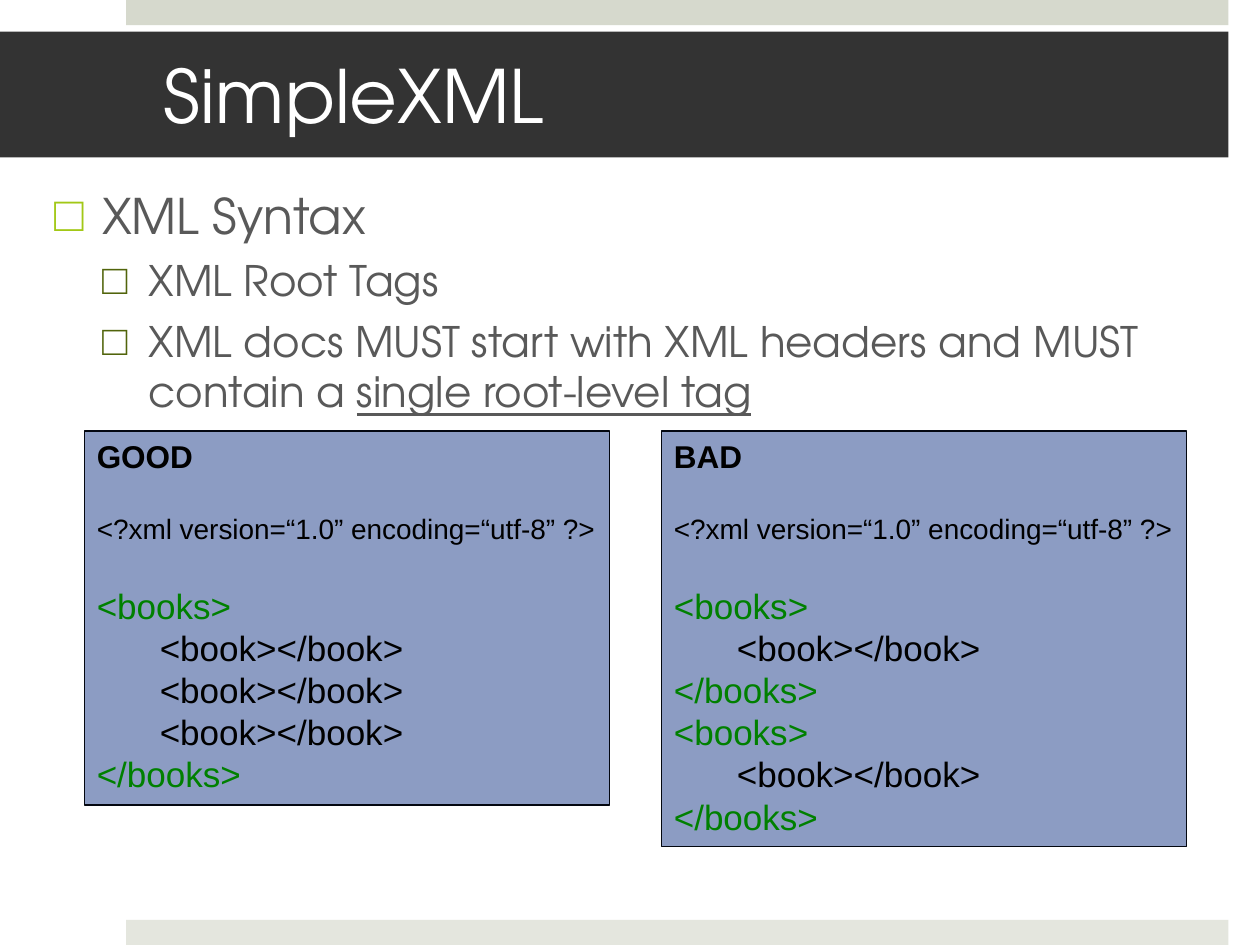
from lxml import etree
from pptx import Presentation
from pptx.dml.color import RGBColor
from pptx.enum.shapes import MSO_SHAPE
from pptx.enum.text import MSO_ANCHOR, MSO_AUTO_SIZE, PP_ALIGN
from pptx.oxml.ns import qn
from pptx.util import Inches, Pt

RECTANGLE = MSO_SHAPE.RECTANGLE
LEFT = PP_ALIGN.LEFT
TOP, MIDDLE = MSO_ANCHOR.TOP, MSO_ANCHOR.MIDDLE
NO_AUTOFIT = MSO_AUTO_SIZE.NONE

# Content
HEADING_FONT, CODE_FONT = "TeX Gyre Adventor", "Arial"
BLACK, GREEN, GREY = "000000", "008000", "595959"
TITLE = "SimpleXML"
# level, plain text, underlined text
OUTLINE = [
    (0, "XML Syntax", ""),
    (1, "XML Root Tags", ""),
    (1, "XML docs MUST start with XML headers and MUST contain a ", "single root-level tag"),
]
# per level: size, space before, left margin, hanging indent, bullet colour
LEVELS = [(28, 20, 0.38, 0.38, "A2C816"), (24, 6, 0.75, 0.37, "51640B")]
XML_HEADER = "<?xml version=“1.0” encoding=“utf-8” ?>"
OPEN, BOOK, CLOSE = "<books>", "<book></book>", "</books>"
EXAMPLES = [
    ("GOOD", 2.97, [OPEN, BOOK, BOOK, BOOK, CLOSE]),
    ("BAD", 3.3, [OPEN, BOOK, CLOSE, OPEN, BOOK, CLOSE]),
]
BARS = [(0, "D6D9CD"), (7.3, "E4E6DE")]


def rgb(code):
    return RGBColor.from_string(code)


def write(paragraph, text, size, color, font=CODE_FONT, bold=False,
          underline=False, before=0, margin=0, hanging=0):
    """Add a run to a paragraph and format both."""
    paragraph.alignment = LEFT
    paragraph.space_before, paragraph.space_after = Pt(before), Pt(0)
    properties = paragraph._p.get_or_add_pPr()
    properties.set("marL", str(Inches(margin)))
    properties.set("indent", str(-Inches(hanging)))
    run = paragraph.add_run()
    run.text = text
    run.font.name, run.font.size = font, Pt(size)
    run.font.bold, run.font.underline = bold, underline
    run.font.color.rgb = rgb(color)


def add_bullet(paragraph, color):
    properties = paragraph._p.get_or_add_pPr()
    bullet_color = etree.SubElement(properties, qn("a:buClr"))
    etree.SubElement(bullet_color, qn("a:srgbClr"), val=color)
    etree.SubElement(properties, qn("a:buFont"), typeface=CODE_FONT)
    etree.SubElement(properties, qn("a:buChar"), char="□")


def place(shape, left, top, width, height):
    shape.left, shape.top = Inches(left), Inches(top)
    shape.width, shape.height = Inches(width), Inches(height)


def set_frame(frame, anchor=TOP, left=0.1, right=0.1):
    frame.word_wrap, frame.auto_size = True, NO_AUTOFIT
    frame.vertical_anchor = anchor
    frame.margin_left, frame.margin_right = Inches(left), Inches(right)
    frame.margin_top = frame.margin_bottom = Inches(0.05)
    return frame


def add_box(left, top, width, height, fill):
    box = slide.shapes.add_shape(
        RECTANGLE, Inches(left), Inches(top), Inches(width), Inches(height))
    box.shadow.inherit = False
    box.fill.solid()
    box.fill.fore_color.rgb = rgb(fill)
    box.line.fill.background()
    return box


prs = Presentation()
prs.slide_width, prs.slide_height = Inches(10), Inches(7.5)
slide = prs.slides.add_slide(prs.slide_layouts[1])
title, outline = slide.placeholders

# Top and bottom bars
for bar_top, bar_color in BARS:
    add_box(1, bar_top, 8.75, 0.2, bar_color)

# Title band
place(title, 0, 0.25, 9.75, 1)
title.fill.solid()
title.fill.fore_color.rgb = rgb("333333")
title_frame = set_frame(title.text_frame, MIDDLE, left=1.3, right=0.3)
write(title_frame.paragraphs[0], TITLE, 42, "FFFFFF", HEADING_FONT)

# Bulleted outline
place(outline, 0.33, 1.42, 9.41, 5.77)
outline_frame = set_frame(outline.text_frame)
for i, (level, plain, underlined) in enumerate(OUTLINE):
    point = outline_frame.add_paragraph() if i else outline_frame.paragraphs[0]
    point.level = level
    size, before, margin, hanging, bullet_color = LEVELS[level]
    for text, underline in ((plain, False), (underlined, True)):
        if text:
            write(point, text, size, GREY, HEADING_FONT, underline=underline,
                  before=before, margin=margin, hanging=hanging)
    add_bullet(point, bullet_color)

# Code examples side by side
for column, (label, height, tags) in enumerate(EXAMPLES):
    example = add_box(0.67 + 4.58 * column, 3.42, 4.17, height, "1E3D8B")
    fill_color = example.fill._xPr.find(".//" + qn("a:srgbClr"))
    etree.SubElement(fill_color, qn("a:alpha"), val="51000")
    example.line.color.rgb = rgb("030710")
    example.line.width = Pt(0.75)
    code = set_frame(example.text_frame)
    write(code.paragraphs[0], label, 18, BLACK, bold=True)
    write(code.add_paragraph(), XML_HEADER, 16, BLACK, before=20.7)
    for i, tag in enumerate(tags):
        nested = tag == BOOK
        write(code.add_paragraph(), tag, 20, BLACK if nested else GREEN,
              before=0 if i else 23, margin=0.5 if nested else 0)

prs.save("out.pptx")
